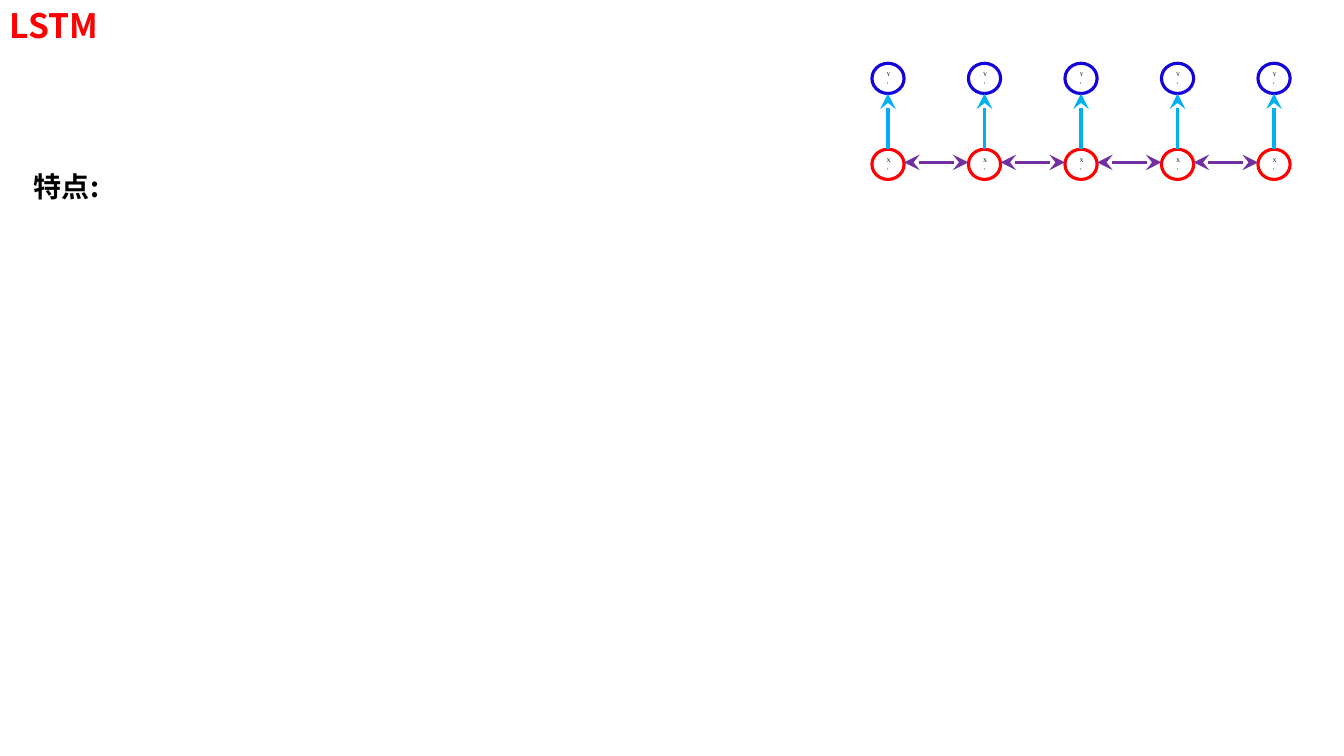
from dataclasses import dataclass

from lxml.etree import SubElement
from pptx import Presentation
from pptx.dml.color import RGBColor
from pptx.enum.shapes import MSO_CONNECTOR, MSO_SHAPE
from pptx.enum.text import MSO_ANCHOR, MSO_AUTO_SIZE, PP_ALIGN
from pptx.oxml.ns import qn
from pptx.util import Pt


@dataclass(frozen=True)
class Theme:
    heading_font: str = "Noto Sans CJK SC"
    node_font: str = "Times New Roman"
    red: str = "FF0000"
    blue: str = "1203DB"
    cyan: str = "00B0F0"
    purple: str = "7030A0"
    black: str = "000000"
    title_size: float = 24
    label_size: float = 20
    node_size: float = 4
    stroke: float = 2.25


class SlideBuilder:
    def __init__(self, page, theme):
        self.page = page
        self.theme = theme
        self.diagram = None

    def start_diagram(self):
        self.diagram = self.page.shapes.add_group_shape()

    def add_run(self, para, text, font, size, color, bold=False):
        span = para.add_run()
        span.text = text
        span.font.name = font
        span.font.size = Pt(size)
        span.font.bold = bold
        span.font.color.rgb = RGBColor.from_string(color)
        SubElement(span.font._element, qn("a:ea"), typeface=font)
        return span

    def heading(self, text, left, top, width, height, size, color):
        box = self.page.shapes.add_textbox(Pt(left), Pt(top), Pt(width), Pt(height))
        frame = box.text_frame
        frame.word_wrap = True
        frame.auto_size = MSO_AUTO_SIZE.SHAPE_TO_FIT_TEXT
        self.add_run(frame.paragraphs[0], text, self.theme.heading_font, size, color, True)

    def node(self, letter, left, top, width, height, color):
        circle = self.diagram.shapes.add_shape(
            MSO_SHAPE.OVAL, Pt(left), Pt(top), Pt(width), Pt(height))
        circle.shadow.inherit = False
        circle.fill.background()
        circle.line.color.rgb = RGBColor.from_string(color)
        circle.line.width = Pt(self.theme.stroke)
        frame = circle.text_frame
        frame.word_wrap = True
        frame.vertical_anchor = MSO_ANCHOR.MIDDLE
        para = frame.paragraphs[0]
        para.alignment = PP_ALIGN.CENTER
        style = (self.theme.node_font, self.theme.node_size, self.theme.black)
        self.add_run(para, letter, *style)
        subscript = self.add_run(para, "1", *style)
        subscript.font._element.set("baseline", "-25000")

    def arrow(self, start, end, color, ends):
        points = [Pt(value) for value in (*start, *end)]
        connector = self.diagram.shapes.add_connector(MSO_CONNECTOR.STRAIGHT, *points)
        connector.line.color.rgb = RGBColor.from_string(color)
        connector.line.width = Pt(self.theme.stroke)
        line = connector.line._get_or_add_ln()
        for end_name in ends:
            SubElement(line, qn(f"a:{end_name}"), type="stealth", w="lg", len="lg")
        SubElement(connector._element.spPr, qn("a:effectLst"))


theme = Theme()
deck = Presentation()
deck.slide_width, deck.slide_height = Pt(960), Pt(540)
slide = SlideBuilder(deck.slides.add_slide(deck.slide_layouts[6]), theme)

slide.heading("LSTM", 0, 0, 122.4, 36, theme.title_size, theme.red)

STEPS = 5
FIRST_LEFT, PITCH = 622.8, 68.94
NODE_WIDTH, NODE_HEIGHT = 23, 21.6
OUTPUT_TOP, INPUT_TOP, LINK_Y = 45.2, 106.6, 116
step_lefts = [FIRST_LEFT + step * PITCH for step in range(STEPS)]

slide.start_diagram()
for left in step_lefts:
    center = left + NODE_WIDTH / 2
    slide.node("Y", left, OUTPUT_TOP, NODE_WIDTH, NODE_HEIGHT, theme.blue)
    slide.node("X", left, INPUT_TOP, NODE_WIDTH, NODE_HEIGHT, theme.red)
    slide.arrow((center, OUTPUT_TOP + NODE_HEIGHT), (center, INPUT_TOP),
                theme.cyan, ["headEnd"])
for left, next_left in zip(step_lefts, step_lefts[1:]):
    slide.arrow((left + NODE_WIDTH, LINK_Y), (next_left, LINK_Y),
                theme.purple, ["headEnd", "tailEnd"])

slide.heading("特点:", 17.2, 117.4, 58.4, 31.6, theme.label_size, theme.black)

deck.save("out.pptx")
